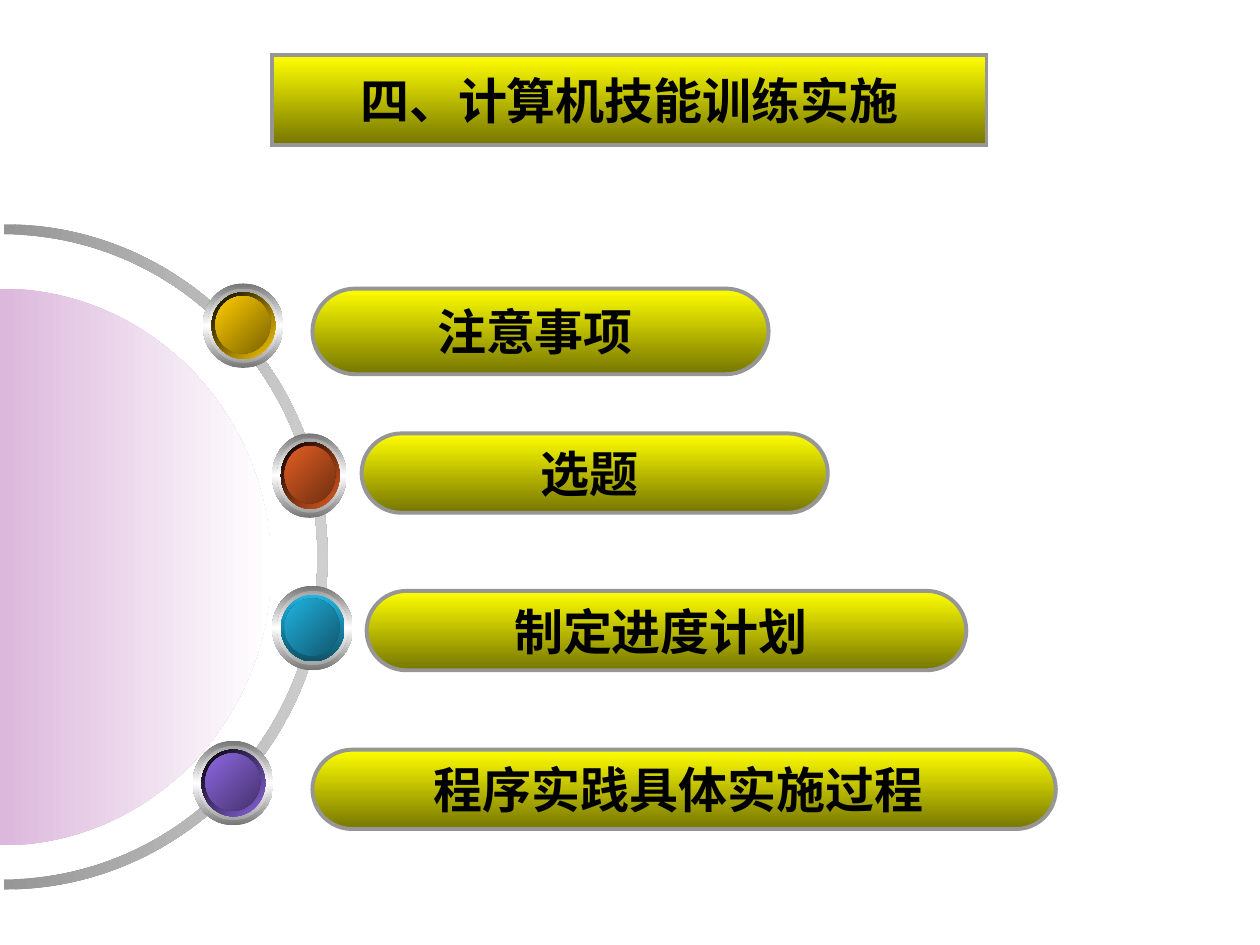
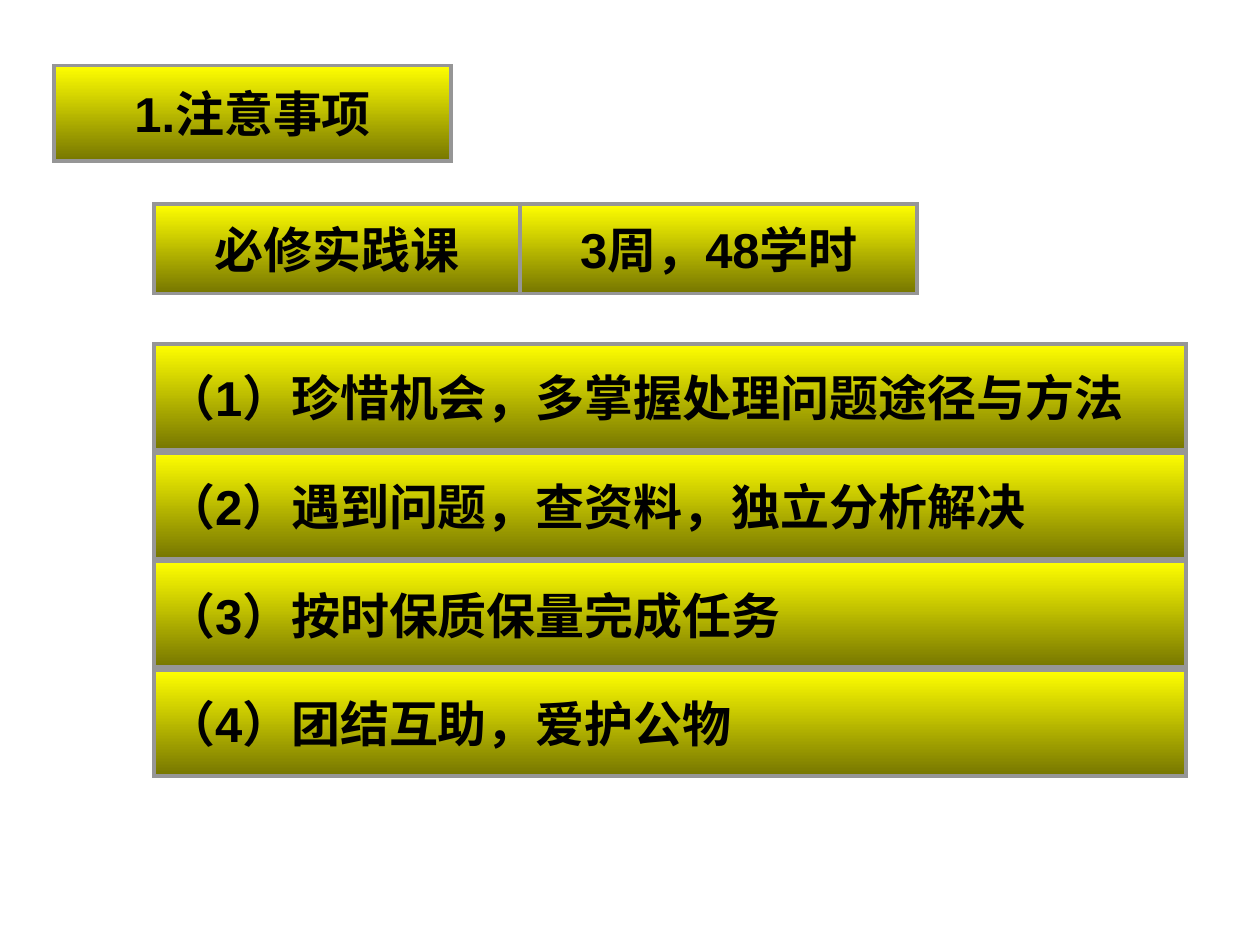
from dataclasses import dataclass

from lxml.etree import SubElement
from pptx import Presentation
from pptx.dml.color import RGBColor
from pptx.enum.shapes import MSO_SHAPE as Form
from pptx.enum.text import MSO_ANCHOR as Anchor, PP_ALIGN as Align
from pptx.oxml.ns import qn
from pptx.util import Inches, Pt


@dataclass(frozen=True)
class Theme:
    font: str = "Arial"
    size: float = 28
    edge: float = 2.25
    ink: str = "000000"
    line: str = "969696"
    bar: tuple = ("FFFF00", "767600")
    disc: tuple = ("DCB8DC", "FFFFFF")
    arc: tuple = ("969696", "CFCFCF")
    rim: tuple = ("767676", "FFFFFF", "767676")
    band: tuple = ("A2A2A2", "FFFFFF", "A2A2A2")


class Deck:
    def __init__(self, theme):
        self.theme = theme
        self.prs = Presentation()
        self.prs.slide_width = Inches(10)
        self.prs.slide_height = Inches(7.5)
        self.slide = None

    def page(self):
        self.slide = self.prs.slides.add_slide(self.prs.slide_layouts[6])

    def paint(self, shape, tones, turn):
        shape.shadow.inherit = False
        shape.line.fill.background()
        shape.fill.gradient()
        shape.fill.gradient_angle = -turn % 360
        stops = shape._element.spPr.find(qn("a:gradFill")).find(qn("a:gsLst"))
        for stop in list(stops):
            stops.remove(stop)
        for i, tone in enumerate(tones):
            stop = SubElement(stops, qn("a:gs"), pos=str(100000 * i // (len(tones) - 1)))
            SubElement(stop, qn("a:srgbClr"), val=tone)

    def shape(self, form, box, tones, turn=90):
        shape = self.slide.shapes.add_shape(form, *map(Inches, box))
        self.paint(shape, tones, turn)
        return shape

    def bar(self, text, box, form=Form.RECTANGLE, align=Align.CENTER):
        theme = self.theme
        shape = self.shape(form, box, theme.bar)
        if form == Form.ROUNDED_RECTANGLE:
            shape.adjustments[0] = 0.5
        shape.line.color.rgb = RGBColor.from_string(theme.line)
        shape.line.width = Pt(theme.edge)
        SubElement(shape.line._ln, qn("a:miter"), lim="800000")
        frame = shape.text_frame
        frame.word_wrap = False
        frame.vertical_anchor = Anchor.MIDDLE
        para = frame.paragraphs[0]
        para.alignment = align
        run = para.add_run()
        run.text = text
        look = {"name": theme.font, "size": Pt(theme.size), "bold": True}
        for key, value in look.items():
            setattr(run.font, key, value)
        run.font.color.rgb = RGBColor.from_string(theme.ink)
        run._r.get_or_add_rPr().set("lang", "zh-CN")

    def curve(self, bows, tones):
        spots = [(Inches(x), Inches(y)) for points in bows for x, y in points]
        pen = self.slide.shapes.build_freeform(*spots[0])
        pen.add_line_segments(spots[1:], close=True)
        shape = pen.convert_to_shape()
        track = next(shape._element.iter(qn("a:path")))
        lines = track.findall(qn("a:lnTo"))
        for start in range(0, len(lines), 7):
            for i in (start, start + 3):
                bend = SubElement(track, qn("a:cubicBezTo"))
                track.replace(lines[i], bend)
                for line in lines[i:i + 3]:
                    bend.append(line[0])
                for line in lines[i + 1:i + 3]:
                    track.remove(line)
        self.paint(shape, tones, 0)

    def knob(self, box, rim, core, turn):
        left, top, width, height = box
        layers = (
            (0, 1, self.theme.rim, 90),
            (0.04, 0.88, self.theme.band, 90),
            (0.07, 0.79, rim, turn),
            (0.1, 0.68, core, 225),
        )
        for inset, ratio, tones, angle in layers:
            spot = (left + inset, top + inset, width * ratio, height * ratio)
            self.shape(Form.OVAL, spot, tones, angle)


def bow(x, y, wide, high):
    pull = 0.5523
    unit = ((0, -1), (pull, -1), (1, -pull), (1, 0), (1, pull), (pull, 1), (0, 1))
    return [(x + wide * a, y + high * b) for a, b in unit]


def menu(deck):
    deck.page()
    deck.curve([bow(0, 4.5, 2.15, 2.21)], deck.theme.disc)
    outer = bow(0.03, 4.42, 2.57, 2.64)
    inner = bow(0.03, 4.42, 2.49, 2.56)
    deck.curve([outer, inner[::-1]], deck.theme.arc)
    deck.bar("四、计算机技能训练实施", (2.16, 0.44, 5.67, 0.71))

    pills = (
        ("注意事项 ", (2.48, 2.29, 3.62, 0.68)),
        ("选题 ", (2.87, 3.44, 3.7, 0.63)),
        ("制定进度计划 ", (2.91, 4.69, 4.76, 0.63)),
        ("程序实践具体实施过程 ", (2.48, 5.95, 5.9, 0.63)),
    )
    for text, box in pills:
        deck.bar(text, box, Form.ROUNDED_RECTANGLE)

    knobs = (
        ((1.61, 2.25, 0.64, 0.67), "FFCC00", "7C6300", "000000", 225),
        ((2.16, 3.44, 0.59, 0.67), "E35E23", "6E2E11", "000000", 225),
        ((2.16, 4.65, 0.64, 0.67), "21B3E1", "10576D", "0F5368", 90),
        ((1.53, 5.88, 0.64, 0.67), "8D67E1", "45326D", "000000", 225),
    )
    for box, tone, dark, edge, turn in knobs:
        deck.knob(box, (tone, edge), (dark, tone), turn)


def notes(deck):
    deck.page()
    deck.bar("1.注意事项", (0.43, 0.52, 3.15, 0.76))
    deck.bar("必修实践课", (1.22, 1.62, 2.91, 0.71))
    deck.bar("3周，48学时", (4.13, 1.62, 3.15, 0.71))
    rules = (
        "珍惜机会，多掌握处理问题途径与方法",
        "遇到问题，查资料，独立分析解决",
        "按时保质保量完成任务",
        "团结互助，爱护公物",
    )
    first, last = 2.73, 5.32
    step = (last - first) / (len(rules) - 1)
    for i, rule in enumerate(rules):
        box = (1.22, first + step * i, 8.19, 0.84)
        deck.bar(f"（{i + 1}）{rule}", box, align=Align.LEFT)


def main():
    deck = Deck(Theme())
    menu(deck)
    notes(deck)
    deck.prs.save("out.pptx")


if __name__ == "__main__":
    main()
